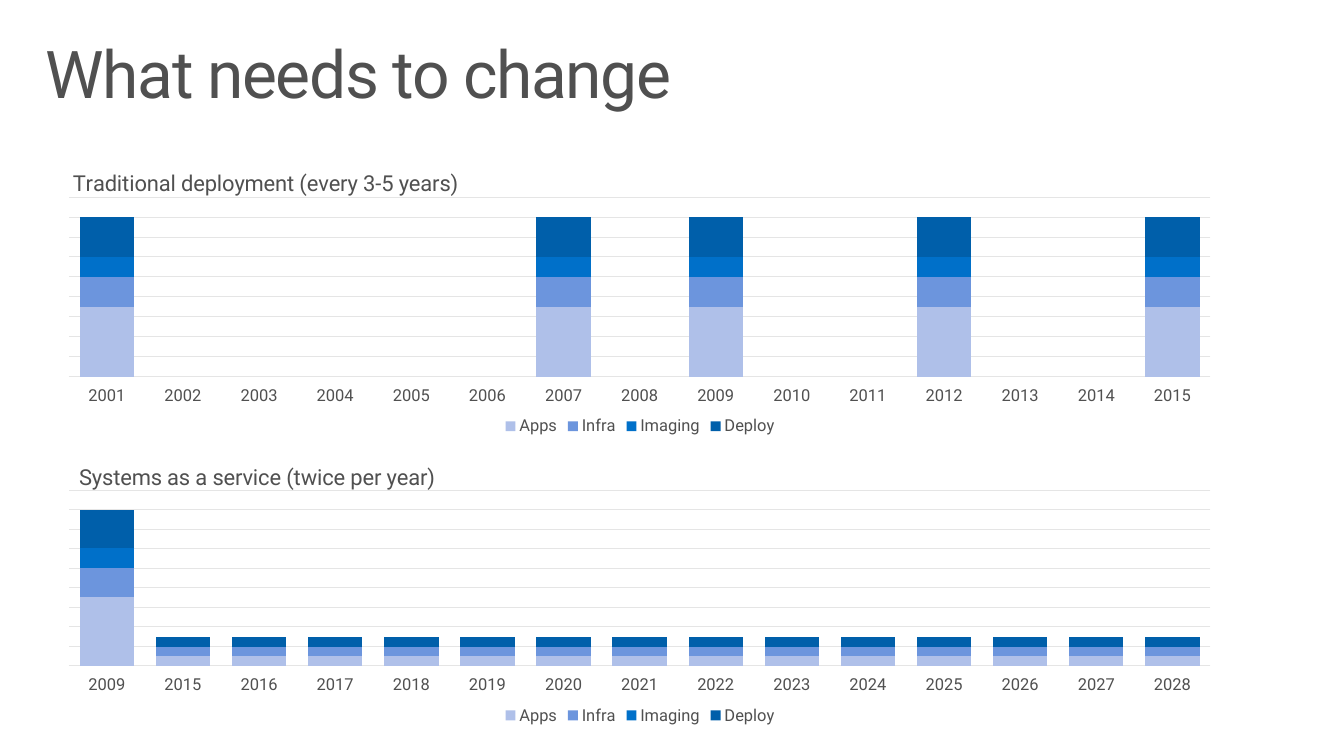
from dataclasses import dataclass

from lxml.etree import SubElement
from pptx import Presentation
from pptx.chart.chart import Chart
from pptx.chart.data import CategoryChartData
from pptx.dml.color import RGBColor
from pptx.enum.chart import XL_CHART_TYPE, XL_LEGEND_POSITION, XL_TICK_LABEL_POSITION, XL_TICK_MARK
from pptx.enum.text import MSO_ANCHOR, PP_ALIGN
from pptx.oxml.ns import qn
from pptx.slide import Slide
from pptx.text.text import Font
from pptx.util import Cm, Pt

FONT_NAME = "Roboto"
TEXT_GRAY = RGBColor(0x50, 0x50, 0x50)
GRID_GRAY = RGBColor(0xE5, 0xE5, 0xE5)
EFFORT_COLORS = {
    "Apps": RGBColor(0xAF, 0xC0, 0xE9),
    "Infra": RGBColor(0x6C, 0x95, 0xDD),
    "Imaging": RGBColor(0x00, 0x70, 0xC9),
    "Deploy": RGBColor(0x00, 0x5F, 0xAA),
}
FULL_EFFORT = (100, 43, 29, 57)
SERVICE_EFFORT = (14, 14, 0, 14)
NO_EFFORT = (None, None, None, None)
GRID_STEP = 28.6
GRID_ROWS = 9
CHART_LEFT, CHART_WIDTH = 1.17, 30.56
PLOT_LEFT, PLOT_WIDTH = 1.77, 29.34


@dataclass
class EffortChart:
    title: str
    title_left: float
    title_top: float
    top: float
    height: float
    plot_top: float
    plot_height: float
    efforts: dict[int, tuple]


TRADITIONAL = EffortChart(
    "Traditional deployment (every 3-5 years)", 1.77, 4.24, 3.66, 7.65, 5.07, 4.61,
    {year: FULL_EFFORT if year in (2001, 2007, 2009, 2012, 2015) else NO_EFFORT
     for year in range(2001, 2016)},
)
SERVICE = EffortChart(
    "Systems as a service (twice per year)", 1.93, 11.8, 11.2, 7.54, 12.6, 4.51,
    {2009: FULL_EFFORT} | {year: SERVICE_EFFORT for year in range(2015, 2029)},
)


def style_font(font: Font, size: float) -> None:
    font.name = FONT_NAME
    font.size = Pt(size)
    font.bold = False
    font.color.rgb = TEXT_GRAY


def place_part(part, index: int, values: dict[str, object]) -> None:
    for old_layout in part.findall(qn("c:layout")):
        part.remove(old_layout)
    layout = SubElement(part, qn("c:layout"))
    part.insert(index, layout)
    manual_layout = SubElement(layout, qn("c:manualLayout"))
    for name, value in values.items():
        SubElement(manual_layout, qn(f"c:{name}")).set("val", str(value))


def style_axes(chart: Chart) -> None:
    years = chart.category_axis
    years.major_tick_mark = XL_TICK_MARK.NONE
    years.minor_tick_mark = XL_TICK_MARK.NONE
    years.tick_label_position = XL_TICK_LABEL_POSITION.LOW
    style_font(years.tick_labels.font, 12)
    effort = chart.value_axis
    effort.visible = False
    effort.minimum_scale = 0
    effort.maximum_scale = GRID_STEP * GRID_ROWS
    effort.major_unit = GRID_STEP
    effort.has_major_gridlines = True
    for line in (years.format.line, effort.major_gridlines.format.line):
        line.color.rgb = GRID_GRAY
        line.width = Pt(0.75)


def add_effort_chart(slide: Slide, content: EffortChart) -> None:
    data = CategoryChartData()
    data.categories = [str(year) for year in content.efforts]
    for name, values in zip(EFFORT_COLORS, zip(*content.efforts.values())):
        data.add_series(name, values)
    chart = slide.shapes.add_chart(
        XL_CHART_TYPE.COLUMN_STACKED, Cm(CHART_LEFT), Cm(content.top),
        Cm(CHART_WIDTH), Cm(content.height), data,
    ).chart
    style_font(chart.font, 10)
    style_axes(chart)

    plot = chart.plots[0]
    plot.gap_width = 40
    plot.overlap = 100
    plot.vary_by_categories = False
    for series in plot.series:
        series.format.fill.solid()
        series.format.fill.fore_color.rgb = EFFORT_COLORS[series.name]

    chart.has_legend = True
    chart.legend.position = XL_LEGEND_POSITION.BOTTOM
    chart.legend.include_in_layout = False
    style_font(chart.legend.font, 12)

    chart.has_title = True
    run = chart.chart_title.text_frame.paragraphs[0].add_run()
    run.text = content.title
    style_font(run.font, 16)

    chart_element = chart.plots[0]._element.getparent().getparent()
    place_part(chart_element.find(qn("c:title")), 1, {
        "xMode": "edge",
        "yMode": "edge",
        "x": (content.title_left - CHART_LEFT) / CHART_WIDTH,
        "y": (content.title_top - content.top) / content.height,
    })
    place_part(chart_element.find(qn("c:plotArea")), 0, {
        "layoutTarget": "inner",
        "xMode": "edge",
        "yMode": "edge",
        "x": (PLOT_LEFT - CHART_LEFT) / CHART_WIDTH,
        "y": (content.plot_top - content.top) / content.height,
        "w": PLOT_WIDTH / CHART_WIDTH,
        "h": content.plot_height / content.height,
    })


def add_title(slide: Slide, text: str) -> None:
    title = slide.shapes.title
    title.left, title.top, title.width, title.height = Cm(0.76), Cm(0.81), Cm(33.02), Cm(2.54)
    frame = title.text_frame
    frame.margin_left = frame.margin_right = Cm(0.41)
    frame.margin_top = frame.margin_bottom = Cm(0.25)
    frame.vertical_anchor = MSO_ANCHOR.TOP
    frame.word_wrap = True
    paragraph = frame.paragraphs[0]
    paragraph.alignment = PP_ALIGN.LEFT
    paragraph.line_spacing = 0.9
    run = paragraph.add_run()
    run.text = text
    style_font(run.font, 48)
    run.font._element.set("spc", "-100")


def main() -> None:
    presentation = Presentation()
    presentation.slide_width = Cm(34.54)
    presentation.slide_height = Cm(19.43)
    slide = presentation.slides.add_slide(presentation.slide_layouts.get_by_name("Title Only"))
    add_title(slide, "What needs to change")
    for content in (TRADITIONAL, SERVICE):
        add_effort_chart(slide, content)
    presentation.save("out.pptx")


if __name__ == "__main__":
    main()
